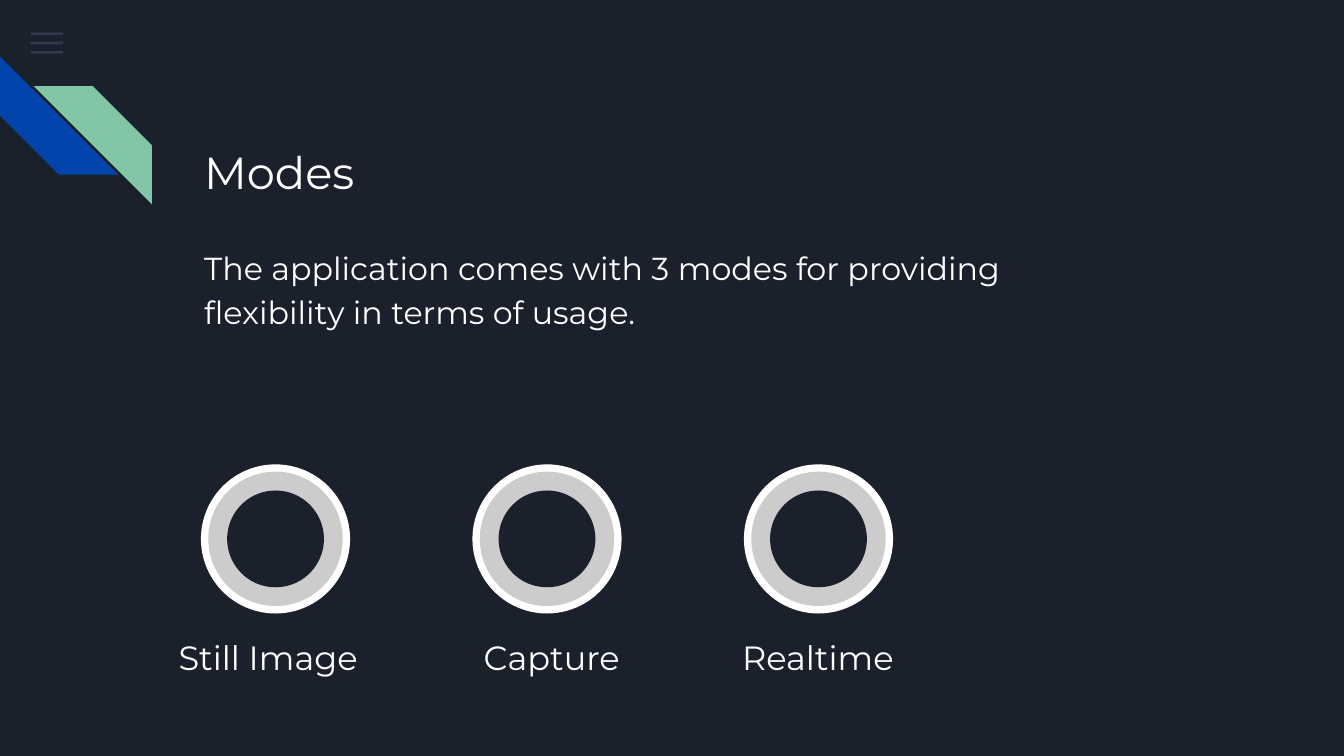
from dataclasses import dataclass

from lxml.etree import SubElement
from pptx import Presentation
from pptx.dml.color import RGBColor
from pptx.enum.shapes import MSO_SHAPE
from pptx.enum.text import MSO_ANCHOR, PP_ALIGN
from pptx.oxml.ns import qn
from pptx.util import Inches, Pt


@dataclass(frozen=True)
class Theme:
    background: str = "1B212C"
    text: str = "FFFFFF"
    menu: str = "55688B"
    blue: str = "0145AC"
    green: str = "82C7A5"
    ring: str = "CCCCCC"
    font: str = "Montserrat"
    title_size: float = 24
    body_size: float = 17
    label_size: float = 18


class SlideBuilder:
    def __init__(self, slide, theme):
        self.slide = slide
        self.theme = theme
        background = slide.background.fill
        background.solid()
        background.fore_color.rgb = RGBColor.from_string(theme.background)

    def shape(self, preset, left, top, width, height, color, opacity=None):
        """Add a preset shape without outline; opacity is in percent."""
        shape = self.slide.shapes.add_shape(
            preset, Inches(left), Inches(top), Inches(width), Inches(height))
        shape.shadow.inherit = False
        shape.line.fill.background()
        shape.fill.solid()
        shape.fill.fore_color.rgb = RGBColor.from_string(color)
        if opacity is not None:
            tint = shape._element.spPr.find(f".//{qn('a:srgbClr')}")
            SubElement(tint, qn("a:alpha"), val=str(opacity * 1000))
        return shape

    def stripe(self, left, top, size, color, rotation):
        stripe = self.shape(MSO_SHAPE.DIAGONAL_STRIPE, left, top, size, size, color)
        stripe.adjustments[0] = 0.5
        stripe.rotation = rotation

    def ring(self, center_x, center_y):
        discs = ((1.11, self.theme.text), (1, self.theme.ring),
                 (0.72, self.theme.background))
        for diameter, color in discs:
            self.shape(MSO_SHAPE.OVAL, center_x - diameter / 2,
                       center_y - diameter / 2, diameter, diameter, color)

    def text(self, content, left, top, width, height, *, size,
             align=PP_ALIGN.LEFT, line_spacing=1.0):
        box = self.slide.shapes.add_textbox(
            Inches(left), Inches(top), Inches(width), Inches(height))
        frame = box.text_frame
        frame.word_wrap = True
        frame.vertical_anchor = MSO_ANCHOR.TOP
        frame.margin_left = frame.margin_right = Inches(0.1)
        frame.margin_top = frame.margin_bottom = Inches(0.1)
        paragraph = frame.paragraphs[0]
        paragraph.alignment = align
        paragraph.line_spacing = line_spacing
        paragraph.space_after = Pt(16)
        run = paragraph.add_run()
        run.text = content
        run.font.name = self.theme.font
        run.font.size = Pt(size)
        run.font.color.rgb = RGBColor.from_string(self.theme.text)


def main():
    presentation = Presentation()
    presentation.slide_width = Inches(10)
    presentation.slide_height = Inches(10) * 9 // 16
    theme = Theme()
    builder = SlideBuilder(
        presentation.slides.add_slide(presentation.slide_layouts[6]), theme)

    for bar in range(3):
        builder.shape(MSO_SHAPE.RECTANGLE, 0.23, 0.24 + 0.07 * bar, 0.24, 0.02,
                      theme.menu, opacity=36)
    builder.stripe(0, 0.42, 0.88, theme.blue, rotation=270)
    builder.stripe(0.25, 0.64, 0.88, theme.green, rotation=90)

    builder.text("Modes", 1.42, 0.92, 6.13, 0.65,
                 size=theme.title_size, line_spacing=1.15)
    builder.text("The application comes with 3 modes for providing "
                 "flexibility in terms of usage.", 1.42, 1.71, 6.13, 0.65,
                 size=theme.body_size, line_spacing=1.15)

    modes = (("Still Image", 0.94), ("Capture", 3.05), ("Realtime", 5.03))
    for index, (mode, label_left) in enumerate(modes):
        builder.ring(2.05 + 2.02 * index, 4.01)
        builder.text(mode, label_left, 4.64, 2.11, 0.48,
                     size=theme.label_size, align=PP_ALIGN.CENTER)

    presentation.save("out.pptx")


if __name__ == "__main__":
    main()
